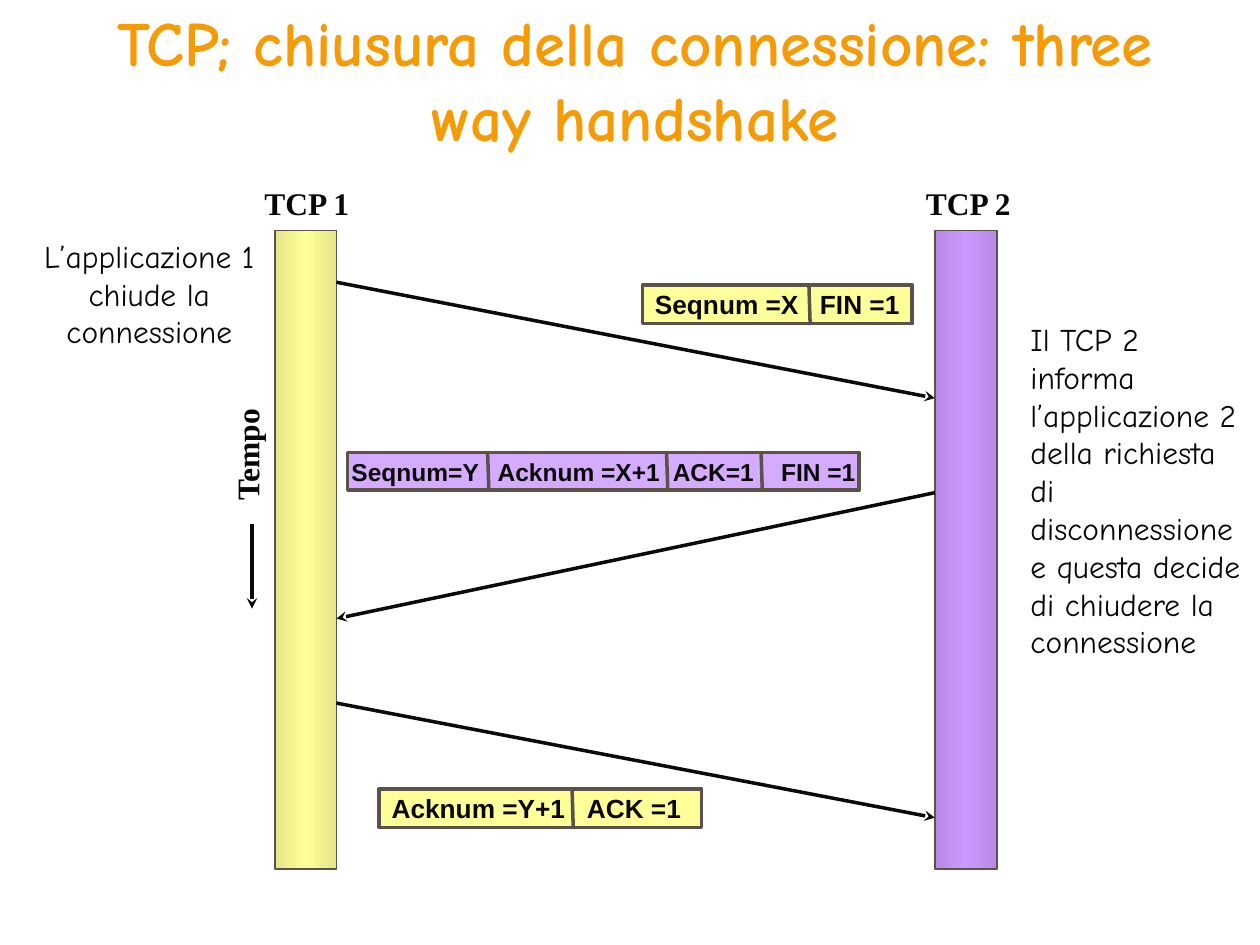
from copy import deepcopy

from pptx import Presentation
from pptx import util as u
from pptx.dml.color import RGBColor
from pptx.enum import shapes, text
from pptx.oxml.ns import qn
from pptx.oxml.xmlchemy import OxmlElement

INK, ARROW, BORDER = "090807", "0B0A09", "5B5249"
YELLOW, LILAC = "FFFF99", "D5ABFF"
BAR_TOP, BAR_WIDTH, BAR_HEIGHT = 1.83, 0.49, 5.07
LEFT_EDGE, RIGHT_EDGE = 2.67, 7.42


def rgb(value):
    return RGBColor.from_string(value)


def box(left, top, width, height):
    return [u.Inches(v) for v in (left, top, width, height)]


class Diagram:
    """Holds the current slide and the style of its elements."""

    def __init__(self, slide):
        self.s = slide

    def add_text(self, p, words, font, size, color=INK, bold=False):
        r = p.add_run()
        r.text = words
        r.font.name, r.font.size, r.font.bold = font, u.Pt(size), bold
        r.font.color.rgb = rgb(color)

    def title(self, words):
        sp = self.s.shapes.title
        sp.left, sp.top, sp.width, sp.height = box(0.79, 0, 8.5, 1.25)
        tf = sp.text_frame
        tf.auto_size = text.MSO_AUTO_SIZE.NONE
        tf.vertical_anchor = text.MSO_ANCHOR.MIDDLE
        tf.paragraphs[0].alignment = text.PP_ALIGN.CENTER
        self.add_text(tf.paragraphs[0], words, "Comic Neue", 36, "F69B08", True)

    def label(self, words, at, font="Comic Neue", bold=False,
              align=text.PP_ALIGN.LEFT, rotation=0):
        sp = self.s.shapes.add_textbox(*box(*at))
        sp.rotation = rotation
        tf = sp.text_frame
        tf.word_wrap = True
        p = tf.paragraphs[0]
        p.alignment = align
        self.add_text(p, words, font, 18, bold=bold)

    def rectangle(self, at, line_width):
        sp = self.s.shapes.add_shape(shapes.MSO_SHAPE.RECTANGLE, *box(*at))
        sp.shadow.inherit = False
        sp.line.color.rgb = rgb(BORDER)
        sp.line.width = u.Pt(line_width)
        return sp

    def bar(self, left, edge, middle):
        """Vertical bar, shaded from both edges to the middle."""
        sp = self.rectangle((left, BAR_TOP, BAR_WIDTH, BAR_HEIGHT), 1)
        sp.fill.gradient()
        sp.fill.gradient_angle = 0
        stops = sp.fill.gradient_stops
        for stop, color, position in zip(stops, (edge, middle), (0, 0.5)):
            stop.color.rgb = rgb(color)
            stop.position = position
        stop_list = sp._element.spPr.find(qn("a:gradFill")).find(qn("a:gsLst"))
        last = deepcopy(stop_list[0])
        last.set("pos", "100000")
        stop_list.append(last)

    def line(self, start, end, color, arrow=False):
        x1, y1, x2, y2 = box(*start, *end)
        cn = self.s.shapes.add_connector(
            shapes.MSO_CONNECTOR.STRAIGHT, x1, y1, x2, y2)
        cn.line.color.rgb = rgb(color)
        cn.line.width = u.Pt(2)
        if arrow:
            tail = OxmlElement("a:tailEnd")
            tail.set("type", "stealth")
            cn._element.spPr.find(qn("a:ln")).append(tail)
        cn._element.spPr.append(OxmlElement("a:effectLst"))

    def segment(self, at, fill, size, inset, fields, tabs, dividers):
        """TCP segment: fields set at tab stops, parted by dividers."""
        sp = self.rectangle(at, 2)
        sp.fill.solid()
        sp.fill.fore_color.rgb = rgb(fill)
        tf = sp.text_frame
        tf.word_wrap = True
        tf.vertical_anchor = text.MSO_ANCHOR.MIDDLE
        tf.margin_left, tf.margin_right = u.Inches(inset), 0
        p = tf.paragraphs[0]
        p.alignment = text.PP_ALIGN.LEFT
        tab_list = OxmlElement("a:tabLst")
        for position in tabs:
            tab = OxmlElement("a:tab")
            tab.set("pos", str(u.Inches(position)))
            tab.set("algn", "l")
            tab_list.append(tab)
        p._p.get_or_add_pPr().append(tab_list)
        self.add_text(p, "\t".join(fields), "Arial", size, bold=True)
        top, bottom = at[1] - 0.01, at[1] + at[3] + 0.01
        for x in dividers:
            self.line((x, top), (x + 0.01, bottom), BORDER)


def main():
    prs = Presentation()
    prs.slide_width, prs.slide_height = u.Inches(10), u.Inches(7.5)
    d = Diagram(prs.slides.add_slide(prs.slide_layouts[5]))

    d.title("TCP; chiusura della connessione: three way handshake")
    d.bar(LEFT_EDGE - BAR_WIDTH, "E5E589", YELLOW)
    d.bar(RIGHT_EDGE, "B789E5", "CC99FF")

    serif = dict(font="Times New Roman", bold=True)
    d.label("TCP 1", (2, 1.41, 1.17, 0.4), **serif)
    d.label("TCP 2", (7.25, 1.41, 1.17, 0.4), **serif)
    d.label("Tempo", (1.42, 3.33, 1.08, 0.4), rotation=270, **serif)
    d.label("L’applicazione 1 chiude la connessione", (0.2, 1.83, 1.97, 1),
            align=text.PP_ALIGN.CENTER)
    d.label("Il TCP 2 informa l’applicazione 2 della richiesta di "
            "disconnessione e questa decide di chiudere la connessione",
            (8.08, 2.49, 1.92, 3.1))

    for start, end in (
        ((LEFT_EDGE, 2.24), (RIGHT_EDGE, 3.16)),
        ((RIGHT_EDGE, 3.91), (LEFT_EDGE, 4.91)),
        ((LEFT_EDGE, 5.58), (RIGHT_EDGE, 6.49)),
        ((2, 4.16), (2, 4.83)),
    ):
        d.line(start, end, ARROW, arrow=True)

    d.segment((5.1, 2.26, 2.14, 0.31), YELLOW, 15, 0.1,
              ("Seqnum =X", "FIN =1"), (1.31,), (6.42,))
    d.segment((2.76, 3.59, 4.06, 0.3), LILAC, 14, 0.03,
              ("Seqnum=Y", "Acknum =X+1", "ACK=1", "FIN =1"),
              (1.16, 2.55, 3.41), (3.87, 5.29, 6.04))
    d.segment((3.01, 6.26, 2.56, 0.31), YELLOW, 15, 0.1,
              ("Acknum =Y+1", "ACK =1"), (1.55,), (4.54,))

    prs.save("out.pptx")


if __name__ == "__main__":
    main()
